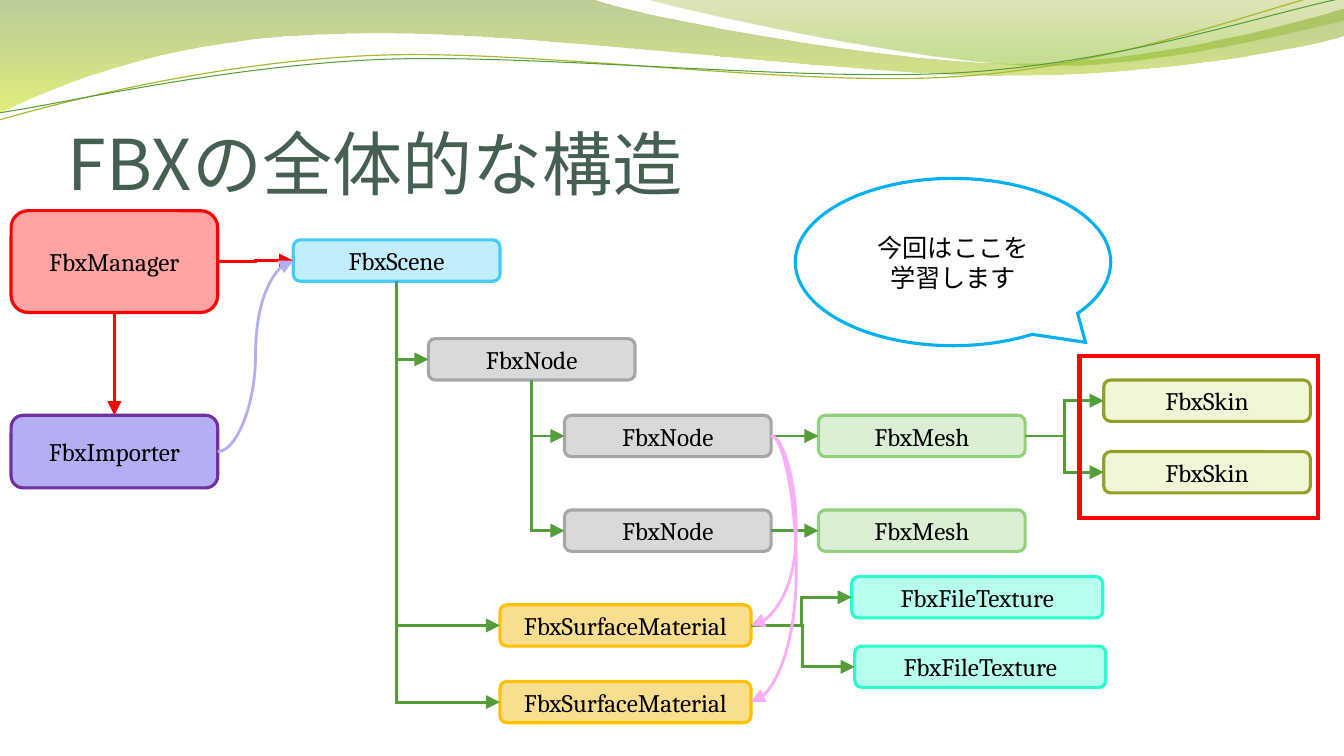
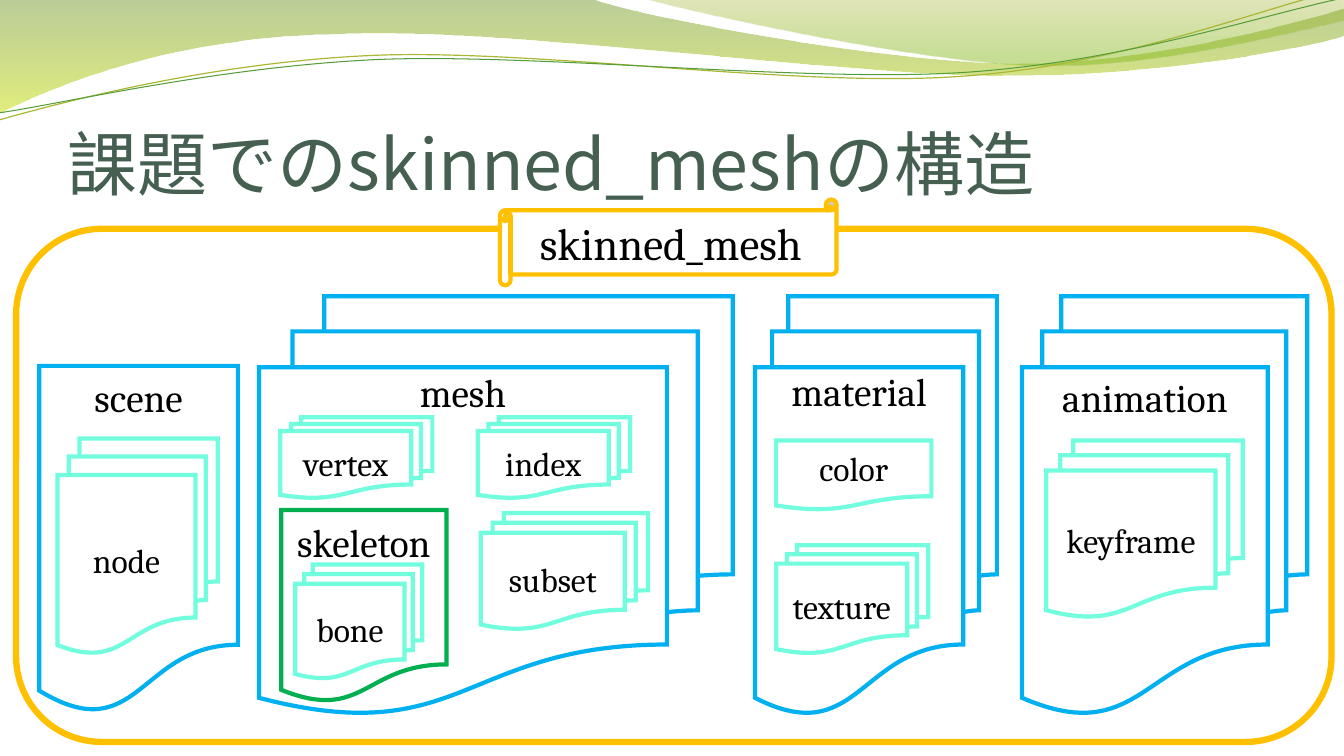
from dataclasses import dataclass
from typing import Optional

from lxml.etree import SubElement
from pptx import Presentation
from pptx.dml.color import RGBColor
from pptx.enum.shapes import MSO_CONNECTOR, MSO_SHAPE
from pptx.enum.text import MSO_ANCHOR, PP_ALIGN
from pptx.oxml.ns import qn
from pptx.util import Inches, Pt

INK = {
    "black": "000000", "white": "FFFFFF", "title": "455F51",
    "green": "549E39", "lime": "A9B733", "red": "FF0000", "pink": "F9ADF7",
    "lilac": "B4AFF3", "blue": "00B0F0", "gold": "FFC000",
    "aqua": "72FDDF", "leaf": "00B050",
}
HUES = {
    "manager": ("FFA3A3", "FF0000"), "import": ("B4AFF3", "7030A0"),
    "scene": ("C1EEFC", "46CCF6"), "node": ("D9D9D9", "A6A6A6"),
    "mesh": ("DBEFD4", "93D07D"), "skin": ("F2F5D8", "94A027"),
    "stuff": ("FADE90", "FFC000"), "file": ("B8FEEF", "2BFCCF"),
}
LATIN = "Cambria"
ASIAN = "Noto Sans CJK JP"
TOP, LEFT, BOTTOM, RIGHT = range(4)
ROUND = MSO_SHAPE.ROUNDED_RECTANGLE
PAGE = MSO_SHAPE.FLOWCHART_DOCUMENT
PILE = MSO_SHAPE.FLOWCHART_MULTIDOCUMENT


@dataclass
class Wave:
    start: tuple
    steps: list
    stops: tuple = ()
    line: str = ""
    width: float = 0


@dataclass
class Box:
    kind: MSO_SHAPE
    text: str
    x: float
    y: float
    w: float
    h: float
    line: str
    fill: Optional[str] = None
    width: float = 3
    size: float = 18
    pad: Optional[float] = None


@dataclass
class Link:
    start: str
    end: str
    route: str = "side"
    color: str = "green"


WAVES = [
    Wave((0, 0), [
        (5.87, -0.01), (6.34, 0.17, 8.84, 0.63, 10.11, 0.63),
        (11.37, 0.63, 12.77, 0.26, 13.33, 0.09), (13.34, 0.36),
        (13.11, 0.44, 11.59, 0.76, 9.94, 0.75),
        (8.29, 0.75, 5.09, 0.28, 3.43, 0.34),
        (1.72, 0.36, 0.61, 0.83, -0.02, 1.13),
    ], stops=((0, "69921C", 45), (1, "CCE10F", 55))),
    Wave((6.38, -0.01), [
        (6.79, 0.11, 9.09, 0.62, 10.25, 0.65),
        (11.4, 0.69, 12.82, 0.32, 13.33, 0.21), (13.33, 0),
    ], stops=((0, "9BAA1A", 30), (0.8, "81BA16", 45))),
    Wave((-0.01, 1.19), [
        (0.63, 1.01, 2.1, 0.62, 3.69, 0.55),
        (5.27, 0.48, 7.89, 0.87, 9.49, 0.76),
        (11.1, 0.66, 12.51, 0.08, 13.3, -0.1),
    ], line="lime", width=0.85),
    Wave((-0.01, 1.12), [
        (0.62, 1.03, 2.18, 0.66, 3.77, 0.59),
        (5.37, 0.53, 7.96, 0.82, 9.55, 0.72),
        (11.14, 0.62, 12.55, 0.14, 13.33, -0.02),
    ], line="green", width=0.75),
]


def rgb(name: str) -> RGBColor:
    return RGBColor.from_string(INK.get(name, name))


def bend(shape, steps: list) -> None:
    track = next(shape.element.iter(qn("a:path")))
    lines = iter(track.findall(qn("a:lnTo")))
    for step in steps:
        first = next(lines)
        if len(step) == 6:
            curve = SubElement(track, qn("a:cubicBezTo"))
            track.replace(first, curve)
            curve.append(first[0])
            for _ in range(2):
                extra = next(lines)
                curve.append(extra[0])
                track.remove(extra)


def add_wave(slide, wave: Wave) -> None:
    spots = [
        (Inches(step[i]), Inches(step[i + 1]))
        for step in wave.steps for i in range(0, len(step), 2)]
    pen = slide.shapes.build_freeform(*map(Inches, wave.start), scale=1.0)
    pen.add_line_segments(spots, close=bool(wave.stops))
    shape = pen.convert_to_shape()
    bend(shape, wave.steps)
    shape.shadow.inherit = False
    if not wave.stops:
        shape.fill.background()
        shape.line.color.rgb = rgb(wave.line)
        shape.line.width = Pt(wave.width)
        return
    shape.line.fill.background()
    shape.fill.gradient()
    shape.fill.gradient_angle = 270
    for stop, (place, color, _) in zip(shape.fill.gradient_stops, wave.stops):
        stop.position = place
        stop.color.rgb = rgb(color)
    tints = shape.element.spPr.find(qn("a:gradFill")).iter(qn("a:srgbClr"))
    for tint, (_, _, alpha) in zip(tints, wave.stops):
        SubElement(tint, qn("a:alpha")).set("val", str(alpha * 1000))


def style(frame, size: float, color: str, latin: str = LATIN) -> None:
    for para in frame.paragraphs:
        for run in para.runs:
            run.font.size = Pt(size)
            run.font.name = latin
            run.font.color.rgb = rgb(color)
            SubElement(run.font._element, qn("a:ea")).set("typeface", ASIAN)


def add_page(deck, title: str):
    slide = deck.slides.add_slide(deck.slide_layouts[6])
    for wave in WAVES:
        add_wave(slide, wave)
    frame = slide.shapes.add_textbox(
        Inches(0.67), Inches(0.77), Inches(12), Inches(1.25)).text_frame
    frame.word_wrap = True
    frame.vertical_anchor = MSO_ANCHOR.BOTTOM
    frame.margin_left = frame.margin_right = frame.margin_bottom = 0
    frame.text = title
    frame.paragraphs[0].line_spacing = 0.8
    style(frame, 50, "title", ASIAN)
    return slide


def draw_edge(shape, color: str, width: float):
    shape.line.color.rgb = rgb(color)
    shape.line.width = Pt(width)
    edge = shape.element.spPr.find(qn("a:ln"))
    SubElement(edge, qn("a:miter")).set("lim", "800000")
    return edge


def add_box(slide, box: Box):
    shape = slide.shapes.add_shape(
        box.kind, Inches(box.x), Inches(box.y), Inches(box.w), Inches(box.h))
    shape.shadow.inherit = False
    if box.fill:
        shape.fill.solid()
        shape.fill.fore_color.rgb = rgb(box.fill)
    else:
        shape.fill.background()
    draw_edge(shape, box.line, box.width)
    if box.text:
        frame = shape.text_frame
        frame.text = box.text
        frame.word_wrap = True
        frame.vertical_anchor = MSO_ANCHOR.MIDDLE
        if box.pad is not None:
            frame.vertical_anchor = MSO_ANCHOR.TOP
            frame.margin_top = Inches(box.pad)
        for para in frame.paragraphs:
            para.alignment = PP_ALIGN.CENTER
        style(frame, box.size, "black")
    return shape


def turn_down(wire) -> None:
    x, y, w, h = wire.left, wire.top, wire.width, wire.height
    wire.left, wire.top = x + (w - h) // 2, y + (h - w) // 2
    wire.width, wire.height = h, w
    form = wire.element.spPr.find(qn("a:xfrm"))
    form.set("rot", str(270 * 60000))
    form.set("flipH", "1")
    wire.element.spPr.find(qn("a:prstGeom")).set("prst", "bentConnector2")


def add_link(slide, link: Link, shapes: dict) -> None:
    kind, start, end = {
        "side": (MSO_CONNECTOR.ELBOW, RIGHT, LEFT),
        "down": (MSO_CONNECTOR.ELBOW, BOTTOM, LEFT),
        "drop": (MSO_CONNECTOR.ELBOW, BOTTOM, TOP),
        "curve": (MSO_CONNECTOR.CURVE, RIGHT, LEFT),
        "loop": (MSO_CONNECTOR.CURVE, RIGHT, RIGHT),
    }[link.route]
    wire = slide.shapes.add_connector(kind, 0, 0, 0, 0)
    wire.begin_connect(shapes[link.start], start)
    wire.end_connect(shapes[link.end], end)
    if link.route == "down":
        turn_down(wire)
    props = wire.element.spPr
    if link.route == "loop":
        guide = SubElement(props.find(qn("a:prstGeom")).find(qn("a:avLst")), qn("a:gd"))
        guide.set("name", "adj1")
        guide.set("fmla", "val -125400")
    tip = SubElement(draw_edge(wire, link.color, 2), qn("a:tailEnd"))
    for key, value in (("type", "triangle"), ("w", "lg"), ("len", "lg")):
        tip.set(key, value)
    SubElement(props, qn("a:effectLst"))


def draw_tree(deck) -> None:
    slide = add_page(deck, "FBXの全体的な構造")
    slim, wide, low = 2.05, 2.49, 0.41
    parts = {
        "manager": ("manager", "FbxManager", 0.11, 2.09, slim, 1.01),
        "import": ("import", "FbxImporter", 0.11, 4.12, slim, 0.72),
        "scene": ("scene", "FbxScene", 2.91, 2.38, slim, low),
        "root": ("node", "FbxNode", 4.25, 3.36, slim, low),
        "node1": ("node", "FbxNode", 5.6, 4.12, slim, low),
        "node2": ("node", "FbxNode", 5.6, 5.06, slim, low),
        "mesh1": ("mesh", "FbxMesh", 8.12, 4.12, slim, low),
        "mesh2": ("mesh", "FbxMesh", 8.12, 5.06, slim, low),
        "skin1": ("skin", "FbxSkin", 10.95, 3.77, slim, low),
        "skin2": ("skin", "FbxSkin", 10.95, 4.48, slim, low),
        "stuff1": ("stuff", "FbxSurfaceMaterial", 4.96, 6, wide, low),
        "stuff2": ("stuff", "FbxSurfaceMaterial", 4.96, 6.76, wide, low),
        "file1": ("file", "FbxFileTexture", 8.45, 5.72, wide, low),
        "file2": ("file", "FbxFileTexture", 8.48, 6.41, wide, low),
    }
    shapes = {}
    for key, (hue, *rest) in parts.items():
        fill, line = HUES[hue]
        shapes[key] = add_box(slide, Box(ROUND, *rest, line, fill, 2.25))
    links = [
        Link("scene", "root", "down"), Link("scene", "stuff1", "down"),
        Link("scene", "stuff2", "down"), Link("root", "node1", "down"),
        Link("root", "node2", "down"), Link("node1", "mesh1"),
        Link("node2", "mesh2"), Link("mesh1", "skin1"), Link("mesh1", "skin2"),
        Link("stuff1", "file1"), Link("stuff1", "file2"),
        Link("manager", "scene", "side", "red"),
        Link("manager", "import", "drop", "red"),
        Link("import", "scene", "curve", "lilac"),
        Link("node1", "stuff2", "loop", "pink"),
        Link("node1", "stuff1", "loop", "pink"),
    ]
    for link in links:
        add_link(slide, link, shapes)
    add_box(slide, Box(MSO_SHAPE.RECTANGLE, "", 10.71, 3.53, 2.37, 1.61, "red"))
    note = add_box(slide, Box(
        MSO_SHAPE.OVAL_CALLOUT, "今回はここを\n学習します",
        7.89, 1.77, 3.13, 1.66, "blue", "white", 2.25))
    note.adjustments[0], note.adjustments[1] = 0.42, 0.48


def draw_mesh(deck) -> None:
    slide = add_page(deck, "課題でのskinned_meshの構造")
    add_box(slide, Box(ROUND, "", 0.16, 2.27, 13.05, 5.09, "gold", width=4.5))
    add_box(slide, Box(MSO_SHAPE.HORIZONTAL_SCROLL, "skinned_mesh",
                       4.96, 1.98, 3.34, 0.85, "gold", "white", size=32))
    outer = [
        (PILE, "animation", 10.14, 2.94, 2.83, 4.14, "blue", 0.06),
        (PAGE, "scene", 0.39, 3.63, 1.97, 3.45, "blue", 0.07),
        (PILE, "mesh", 2.57, 2.94, 4.7, 4.14, "blue", 0.01),
        (PILE, "material", 7.49, 2.94, 2.4, 4.14, "blue", 0),
        (PAGE, "skeleton", 2.79, 5.06, 1.64, 1.91, "leaf", 0.08),
    ]
    for *rest, line, pad in outer:
        add_box(slide, Box(*rest, line, "white", size=28, pad=pad))
    inner = [
        (PILE, "node", 0.57, 4.35, 1.59, 2.13),
        (PILE, "keyframe", 10.38, 4.37, 1.95, 1.75),
        (PILE, "vertex", 2.78, 4.14, 1.51, 0.8),
        (PILE, "index", 4.74, 4.14, 1.51, 0.8),
        (PILE, "subset", 4.77, 5.09, 1.66, 1.15),
        (PILE, "texture", 7.7, 5.41, 1.51, 1.07),
        (PAGE, "color", 7.7, 4.37, 1.54, 0.69),
        (PILE, "bone", 2.93, 5.6, 1.26, 1.13),
    ]
    for item in inner:
        add_box(slide, Box(*item, "aqua", "white", size=24))


def main() -> None:
    deck = Presentation()
    deck.slide_width, deck.slide_height = Inches(40) // 3, Inches(7.5)
    draw_tree(deck)
    draw_mesh(deck)
    deck.save("out.pptx")


if __name__ == "__main__":
    main()
